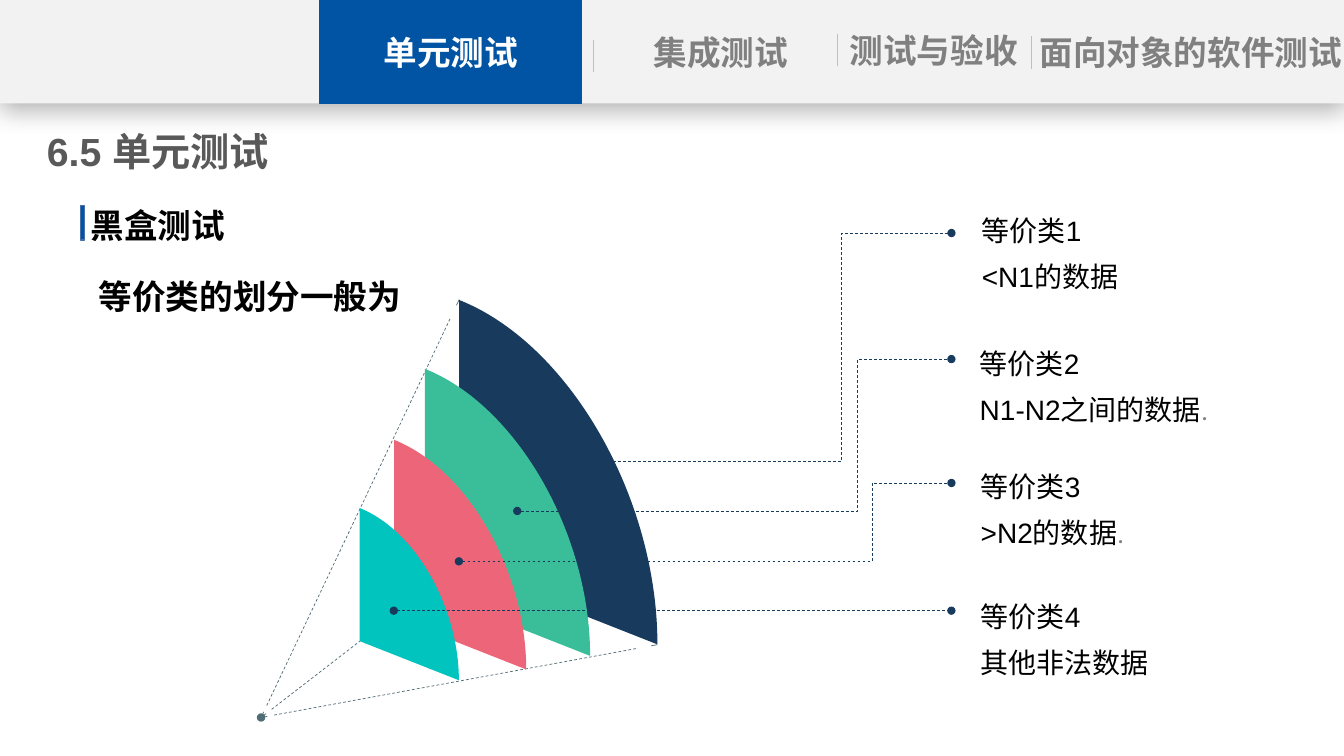
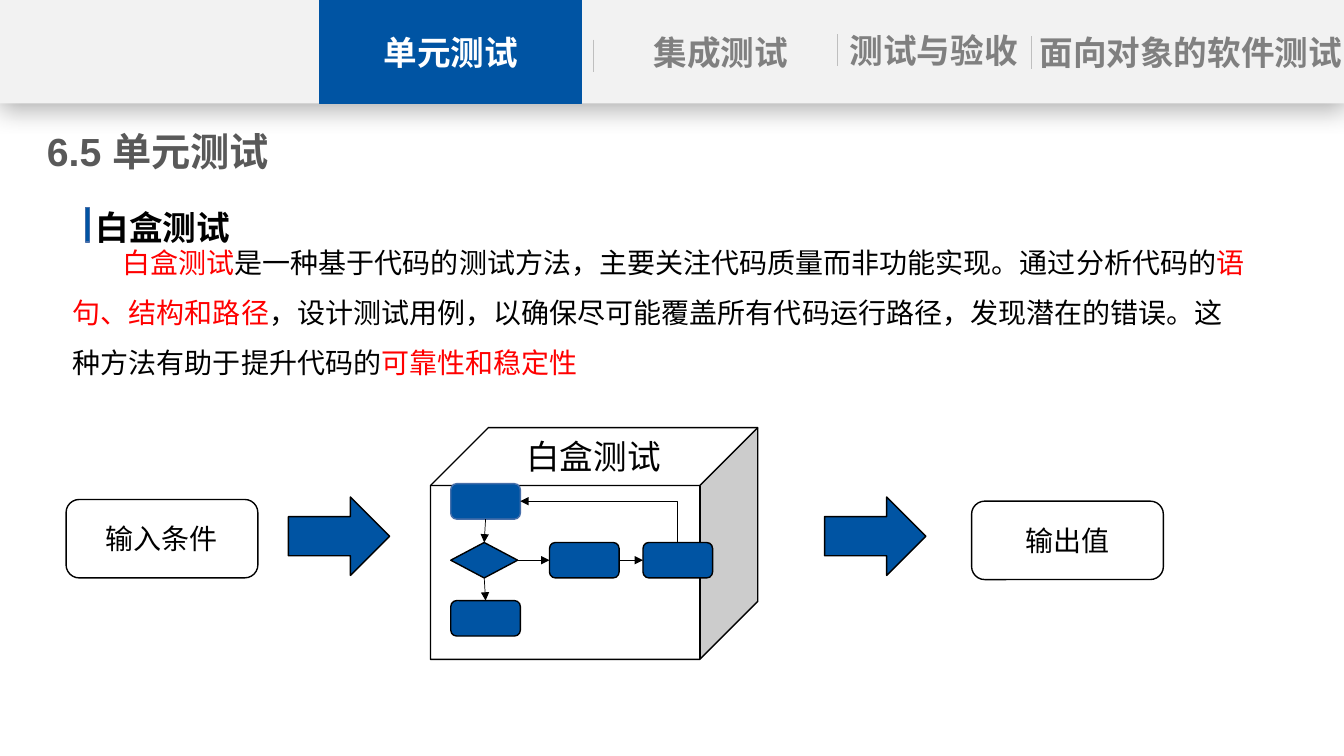
import dataclasses
import math

import pptx
import pptx.dml.color
import pptx.enum.dml
import pptx.enum.shapes
import pptx.enum.text
import pptx.oxml
import pptx.oxml.ns
import pptx.util

Pt = pptx.util.Pt
RGB = pptx.dml.color.RGBColor.from_string
SHAPE = pptx.enum.shapes.MSO_SHAPE
CONNECTOR = pptx.enum.shapes.MSO_CONNECTOR
ALIGN = pptx.enum.text.PP_ALIGN
ANCHOR = pptx.enum.text.MSO_ANCHOR
qn = pptx.oxml.ns.qn


@dataclasses.dataclass(frozen=True)
class Theme:
    blue: str = "0054A3"
    blue_edge: str = "476FAA"
    band: str = "F2F2F2"
    divider: str = "BFBFBF"
    muted: str = "808080"
    heading: str = "595959"
    black: str = "000000"
    white: str = "FFFFFF"
    red: str = "FF0000"
    navy: str = "183A5D"
    green: str = "3ABE99"
    pink: str = "ED6579"
    teal: str = "01C4BE"
    slate: str = "506C74"
    latin: str = "Arial"
    cjk: str = "Noto Sans CJK SC"
    condensed: str = "Roboto Condensed"
    title_size: int = 28
    head_size: int = 24
    text_size: int = 20


theme = Theme()


def write(shape, text, size=theme.text_size, color=theme.black, bold=False,
          font=theme.latin, align=ALIGN.LEFT, anchor=ANCHOR.MIDDLE, leading=None):
    """Append one formatted run to the last paragraph of the shape."""
    frame = shape.text_frame
    frame.word_wrap = True
    frame.auto_size = pptx.enum.text.MSO_AUTO_SIZE.NONE
    frame.vertical_anchor = anchor
    frame.margin_left = frame.margin_right = 0
    paragraph = frame.paragraphs[-1]
    paragraph.alignment = align
    paragraph.space_before = Pt(0)
    if leading:
        paragraph.line_spacing = Pt(leading)
    run = paragraph.add_run()
    run.text = text
    run.font.size = Pt(size)
    run.font.bold = bold
    run.font.name = font
    run.font.color.rgb = RGB(color)
    east_asian = pptx.oxml.parse_xml(
        f'<a:ea {pptx.oxml.ns.nsdecls("a")} typeface="{theme.cjk}"/>')
    run.font._element.append(east_asian)


def draw_line(slide, begin, end, color, kind=CONNECTOR.STRAIGHT,
              dashed=False, head=None, tail=None):
    connector = slide.shapes.add_connector(kind, *map(Pt, begin + end))
    connector.line.width = Pt(0.5)
    connector.line.color.rgb = RGB(color)
    if dashed:
        connector.line.dash_style = pptx.enum.dml.MSO_LINE.DASH
    properties = connector.element.spPr
    outline = properties.find(qn("a:ln"))
    for tag, arrowhead in (("a:headEnd", head), ("a:tailEnd", tail)):
        if arrowhead:
            outline.append(pptx.oxml.parse_xml(
                f'<{tag} {pptx.oxml.ns.nsdecls("a")} type="{arrowhead}"/>'))
    properties.append(pptx.oxml.parse_xml(f'<a:effectLst {pptx.oxml.ns.nsdecls("a")}/>'))
    return connector


deck = pptx.Presentation()
deck.slide_width, deck.slide_height = Pt(960), Pt(540)

# Shared header, title, section marker and body text
tabs = [("集成测试", 431, 19, 168), ("测试与验收", 592, 17.5, 150),
        ("面向对象的软件测试", 739, 19, 223)]
dividers = [(423.5, 28.3), (598, 24.5), (736.5, 26)]
sections = [
    ("黑盒测试", 57.6, 147, (63.5, 192, 437, 39), [("等价类的划分一般为", theme.black)],
     {"size": theme.head_size, "bold": True}, 0),
    ("白盒测试", 61.2, 148.3, (52, 159.5, 841, 124),
     [("白盒测试", theme.red),
      ("是一种基于代码的测试方法，主要关注代码质量而非功能实现。通过分析代码的", theme.black),
      ("语句、结构和路径", theme.red),
      ("，设计测试用例，以确保尽可能覆盖所有代码运行路径，发现潜在的错误。"
       "这种方法有助于提升代码的", theme.black),
      ("可靠性和稳定性", theme.red)],
     {"font": theme.cjk, "anchor": ANCHOR.TOP, "leading": 36}, 35.5),
]
for section, mark_x, mark_y, body_area, body_runs, body_format, indent in sections:
    slide = deck.slides.add_slide(deck.slide_layouts[1])
    title, body = slide.placeholders
    for holder, area in ((title, (33.5, 87, 238, 42)), (body, body_area)):
        holder.left, holder.top, holder.width, holder.height = map(Pt, area)
    write(title, "6.5 单元测试", size=theme.title_size, color=theme.heading, bold=True)
    for text, color in body_runs:
        write(body, text, color=color, **body_format)
    body_properties = body.text_frame.paragraphs[0]._p.get_or_add_pPr()
    body_properties.set("marL", str(Pt(0 if indent else 7)))
    body_properties.set("indent", str(Pt(indent)))
    body_properties.append(pptx.oxml.parse_xml(f'<a:buNone {pptx.oxml.ns.nsdecls("a")}/>'))

    header_parts = []
    for area, fill, edge in (((0, 0, 960, 73.8), theme.band, None),
                             ((228.4, 0, 187, 73.8), theme.blue, theme.blue),
                             ((mark_x, mark_y, 2.6, 24.5), theme.blue, theme.blue_edge)):
        part = slide.shapes.add_shape(SHAPE.RECTANGLE, *map(Pt, area))
        part.shadow.inherit = False
        part.fill.solid()
        part.fill.fore_color.rgb = RGB(fill)
        if edge:
            part.line.color.rgb = RGB(edge)
            part.line.width = Pt(1)
        else:
            part.line.fill.background()
        header_parts.append(part)
    band, active_tab, _ = header_parts
    band.element.spPr.find(qn("a:effectLst")).append(pptx.oxml.parse_xml(
        f'<a:outerShdw {pptx.oxml.ns.nsdecls("a")} blurRad="{Pt(18)}" dist="{Pt(4)}" '
        f'dir="5400000" rotWithShape="0"><a:srgbClr val="{theme.black}">'
        '<a:alpha val="29000"/></a:srgbClr></a:outerShdw>'))
    write(active_tab, "单元测试", size=theme.head_size, color=theme.white,
          bold=True, align=ALIGN.CENTER)
    for label, left, top, width in tabs:
        tab = slide.shapes.add_textbox(Pt(left), Pt(top), Pt(width), Pt(37))
        write(tab, label, size=theme.head_size, color=theme.muted,
              bold=True, align=ALIGN.CENTER)
    for x, y in dividers:
        draw_line(slide, (x, y), (x, y + 23), theme.divider)

    section_head = slide.shapes.add_textbox(
        Pt(mark_x + 7.2), Pt(mark_y - 4.3), Pt(385), Pt(36))
    write(section_head, section, size=theme.head_size, bold=True)

black_box, white_box = deck.slides

# Black-box slide: nested fan of equivalence classes
apex = (186.5, 512.5)
for ray_x, ray_y in ((469.5, 460.5), (328, 214), (327, 404)):
    run_x, run_y = ray_x - apex[0], ray_y - apex[1]
    length = math.hypot(run_x, run_y)
    for start, stop, dashed in ((length - 4.5, length, False),
                                (9.5, length - 14, True),
                                (0, 4.5, False)):
        begin, end = ((apex[0] + run_x * reach / length, apex[1] + run_y * reach / length)
                      for reach in (start, stop))
        draw_line(black_box, begin, end, theme.slate, dashed=dashed)

# Arc control points per unit of wedge size, measured from the wedge's corner
arc = [(0, -31.7), (13.1, -26.5), (23.6, -8.2), (23.6, 9.3)]
fan_parts = []
for size, corner_x, corner_y, color in ((6, 328, 404.5, theme.navy),
                                        (5, 303.5, 422, theme.green),
                                        (4, 281.5, 441, theme.pink),
                                        (3, 257, 458, theme.teal)):
    builder = black_box.shapes.build_freeform(Pt(corner_x), Pt(corner_y))
    builder.add_line_segments(
        [(Pt(corner_x + size * dx), Pt(corner_y + size * dy)) for dx, dy in arc], close=True)
    wedge = builder.convert_to_shape()
    # Turn the last three straight segments into one Bezier arc
    edges = list(wedge.element.spPr.iter(qn("a:lnTo")))[1:]
    curve = pptx.oxml.parse_xml(f'<a:cubicBezTo {pptx.oxml.ns.nsdecls("a")}/>')
    edges[0].addprevious(curve)
    for edge in edges:
        curve.append(edge[0])
        edge.getparent().remove(edge)
    fan_parts.append((wedge, color))
apex_dot = black_box.shapes.add_shape(
    SHAPE.OVAL, Pt(apex[0] - 3), Pt(apex[1] - 3), Pt(6), Pt(6))
fan_parts.append((apex_dot, theme.slate))
for part, color in fan_parts:
    part.shadow.inherit = False
    part.fill.solid()
    part.fill.fore_color.rgb = RGB(color)
    part.line.fill.background()

leader_end = 679.6
classes = [
    ("等价类1", "<N1的数据", "", (421, 329.5), 601, 166.5, 701.3, 164.3),
    ("等价类2", "N1-N2之间的数据", ".", (369.5, 365), 612.5, 256.5, 699.8, 259.3),
    ("等价类3", ">N2的数据", ".", (327.8, 401), 623, 345, 700.5, 347.3),
    ("等价类4", "其他非法数据", "", (281.3, 436.2), None, 436.2, 700.5, 440.3),
]
for name, range_text, stop, start, elbow_x, end_y, label_x, label_y in classes:
    leader = draw_line(black_box, start, (leader_end, end_y), theme.navy,
                       kind=CONNECTOR.ELBOW if elbow_x else CONNECTOR.STRAIGHT,
                       dashed=True, head="oval", tail="oval")
    if elbow_x:
        bend = round(100000 * (elbow_x - start[0]) / (leader_end - start[0]))
        geometry = leader.element.spPr.find(qn("a:prstGeom"))
        geometry.get_or_add_avLst().append(pptx.oxml.parse_xml(
            f'<a:gd {pptx.oxml.ns.nsdecls("a")} name="adj1" fmla="val {bend}"/>'))
    class_name, class_range = (
        black_box.shapes.add_textbox(Pt(label_x), Pt(center - 16), Pt(240), Pt(32))
        for center in (label_y, label_y + 33))
    write(class_name, name)
    write(class_range, range_text)
    if stop:
        write(class_range, stop, color=theme.muted, font=theme.condensed)

# White-box slide: input, box with its inner flow, output
step_kind = SHAPE.FLOWCHART_ALTERNATE_PROCESS
flow = [
    (SHAPE.ROUNDED_RECTANGLE, (47.2, 356.8, 137, 56), theme.white, theme.black, ""),
    (SHAPE.CUBE, (307.5, 305.5, 233.8, 165.5), theme.white, theme.black, ""),
    (SHAPE.ROUNDED_RECTANGLE, (694, 358, 137, 56), theme.white, theme.black, ""),
    (SHAPE.RIGHT_ARROW, (206, 355, 72.3, 56), theme.blue, theme.black, ""),
    (SHAPE.RIGHT_ARROW, (589, 355, 72.3, 56), theme.blue, theme.black, ""),
    (SHAPE.ROUNDED_RECTANGLE, (355.5, 307, 137, 37), theme.white, None, ""),
    (step_kind, (322, 345.5, 49.7, 25.3), theme.blue, theme.blue_edge, ""),
    (SHAPE.FLOWCHART_DECISION, (322, 387.5, 47.8, 25.3), theme.blue, theme.black, ""),
    (step_kind, (392.5, 387.5, 49.7, 25.3), theme.blue, theme.black, ""),
    (step_kind, (459.3, 387.5, 49.7, 25.3), theme.blue, theme.black, ""),
    (step_kind, (322, 429, 49.7, 25.3), theme.blue, theme.black, ""),
]
flow_parts = []
for kind, area, fill, edge, _ in flow:
    part = white_box.shapes.add_shape(kind, *map(Pt, area))
    part.shadow.inherit = False
    part.fill.solid()
    part.fill.fore_color.rgb = RGB(fill)
    if edge:
        part.line.color.rgb = RGB(edge)
        part.line.width = Pt(1)
    else:
        part.line.fill.background()
    flow_parts.append(part)

for position, label, size in ((0, "输入条件", theme.text_size),
                              (2, "输出值", theme.text_size),
                              (5, "白盒测试", theme.head_size)):
    write(flow_parts[position], label, size=size, font=theme.cjk, align=ALIGN.CENTER)

first_step, decision, branch_step, loop_step, last_step = flow_parts[-5:]
top, left, bottom, right = range(4)
for source, source_side, target, target_side in ((decision, right, branch_step, left),
                                                 (branch_step, right, loop_step, left),
                                                 (first_step, bottom, decision, top),
                                                 (decision, bottom, last_step, top)):
    arrow = draw_line(white_box, (0, 0), (0, 0), theme.black, tail="triangle")
    arrow.begin_connect(source, source_side)
    arrow.end_connect(target, target_side)
loop_back = draw_line(white_box, (371.7, 358), (484, 387.5), theme.black,
                      kind=CONNECTOR.ELBOW, head="triangle")
loop_back.element.spPr.find(qn("a:prstGeom")).set("prst", "bentConnector2")

deck.save("out.pptx")
